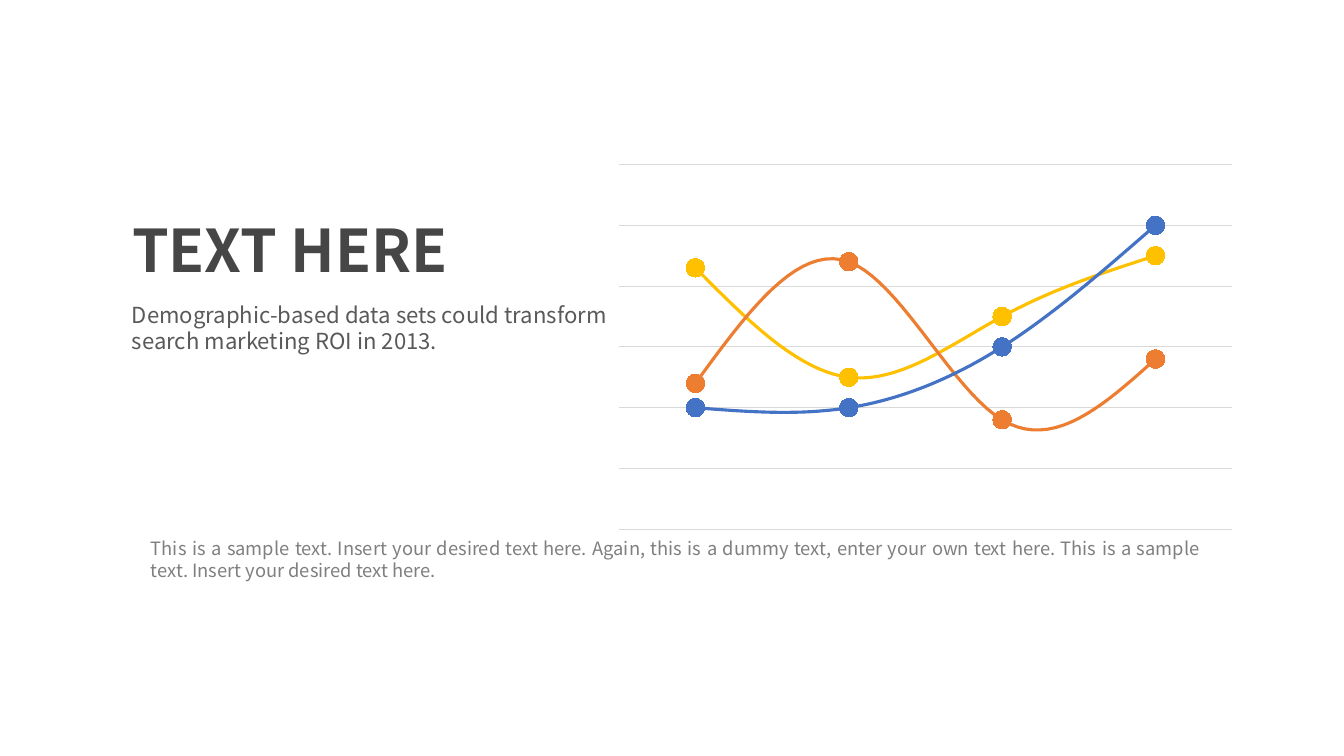
from pptx import Presentation
from pptx.chart.data import CategoryChartData
from pptx.dml.color import RGBColor
from pptx.enum.chart import XL_CHART_TYPE as ChartType, XL_MARKER_STYLE as Marker
from pptx.enum.chart import XL_TICK_LABEL_POSITION as LabelPosition, XL_TICK_MARK as TickMark
from pptx.enum.text import MSO_ANCHOR as Anchor, MSO_AUTO_SIZE as AutoSize, PP_ALIGN as Align
from pptx.util import Pt

PX = 914400 / 100.8
FONT = "Noto Sans CJK SC"


def px(*lengths):
    return [round(length * PX) for length in lengths]


def paint(target, color):
    target.rgb = RGBColor.from_string(color)


deck = Presentation()
deck.slide_width, deck.slide_height = px(1344, 756)
page = deck.slides.add_slide(deck.slide_layouts[5])

title = page.shapes.title
title.left, title.top, title.width, title.height = px(122, 209, 502, 82)
subtitle = page.shapes.add_textbox(*px(122, 296, 502, 64))
footer = page.shapes.add_textbox(*px(141, 537, 1069, 102))
footer.text_frame.margin_top = footer.text_frame.margin_bottom = 0

texts = [
    (title, "TEXT HERE", 42, "464646", True, Align.LEFT, AutoSize.SHAPE_TO_FIT_TEXT),
    (subtitle, "Demographic-based data sets could transform search marketing ROI in 2013.",
     15.8, "595959", False, Align.LEFT, AutoSize.SHAPE_TO_FIT_TEXT),
    (footer, "This is a sample text. Insert your desired text here. Again, this is a dummy text, "
     "enter your own text here. This is a sample text. Insert your desired text here.",
     13.1, "7F7F7F", False, Align.JUSTIFY, AutoSize.NONE),
]
for box, words, size, color, bold, align, fit in texts:
    frame = box.text_frame
    frame.text = words
    frame.word_wrap = True
    frame.auto_size = fit
    frame.vertical_anchor = Anchor.TOP
    para = frame.paragraphs[0]
    para.alignment = align
    span = para.runs[0]
    span.font.name, span.font.size, span.font.bold = FONT, Pt(size), bold
    paint(span.font.color, color)

trends = [
    ("Series 1", (86, 50, 70, 90), "FFC000"),
    ("Series 2", (48, 88, 36, 56), "ED7D31"),
    ("Series 3", (40, 40, 60, 100), "4472C4"),
]
data = CategoryChartData()
data.categories = ["1", "2", "3", "4"]
for name, values, color in trends:
    data.add_series(name, values)
chart = page.shapes.add_chart(ChartType.LINE_MARKERS, *px(606, 157, 639, 380), data).chart
chart.has_legend = chart.has_title = False
chart.font.name, chart.font.size = FONT, Pt(10)
paint(chart.font.color, "000000")
chart.plots[0].vary_by_categories = False

for axis in (chart.category_axis, chart.value_axis):
    axis.visible = False
    axis.major_tick_mark = TickMark.NONE
    axis.tick_label_position = LabelPosition.NONE
chart.value_axis.minimum_scale = 0
chart.value_axis.maximum_scale = 120
chart.value_axis.major_unit = 20
grid = chart.value_axis.major_gridlines.format.line
grid.width = Pt(0.75)
paint(grid.color, "D9D9D9")

for series, (name, values, color) in zip(chart.plots[0].series, trends):
    series.smooth = True
    series.format.line.width = Pt(2.25)
    paint(series.format.line.color, color)
    series.marker.style = Marker.CIRCLE
    series.marker.size = 13
    series.marker.format.fill.solid()
    paint(series.marker.format.fill.fore_color, color)
    paint(series.marker.format.line.color, color)

deck.save("out.pptx")
